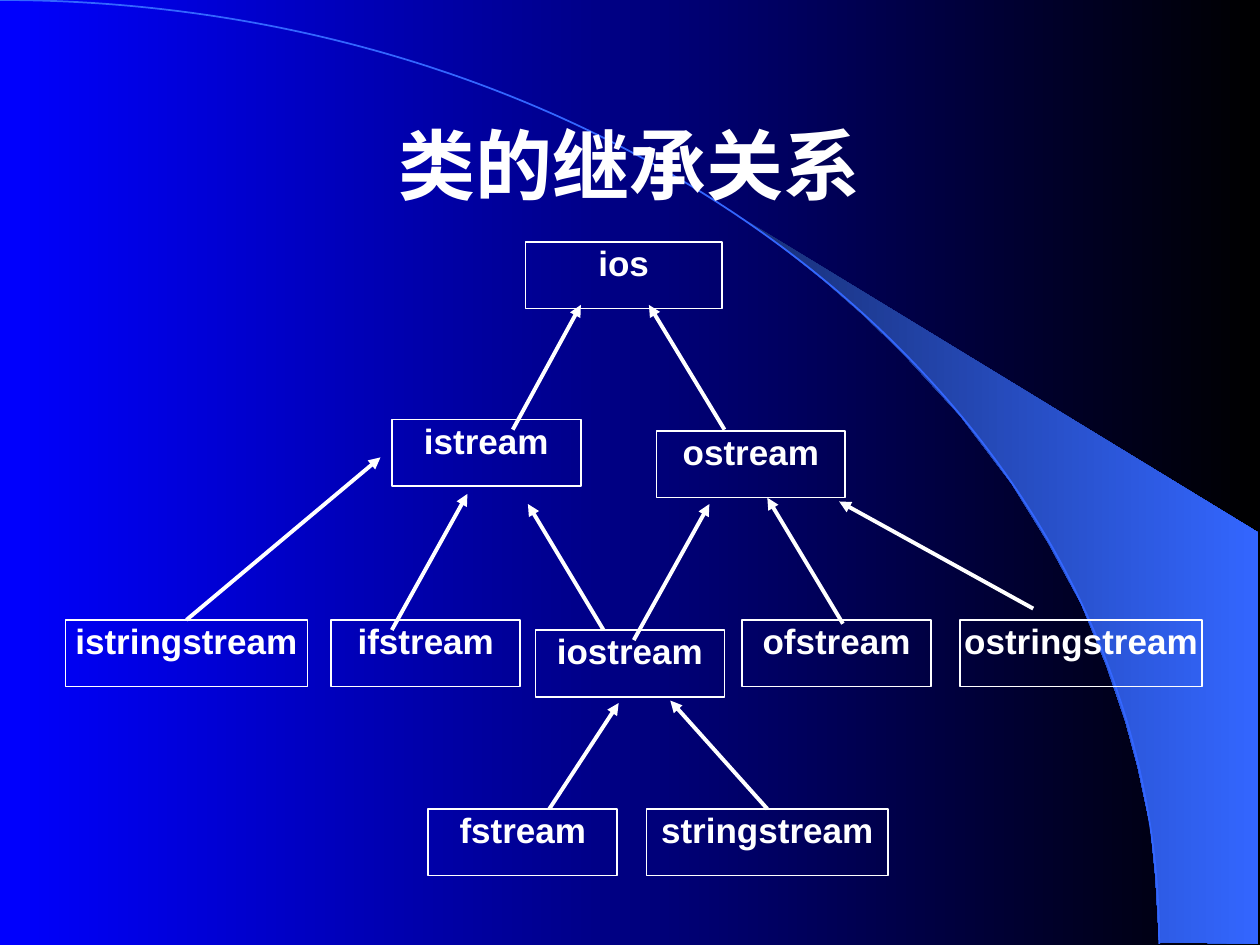
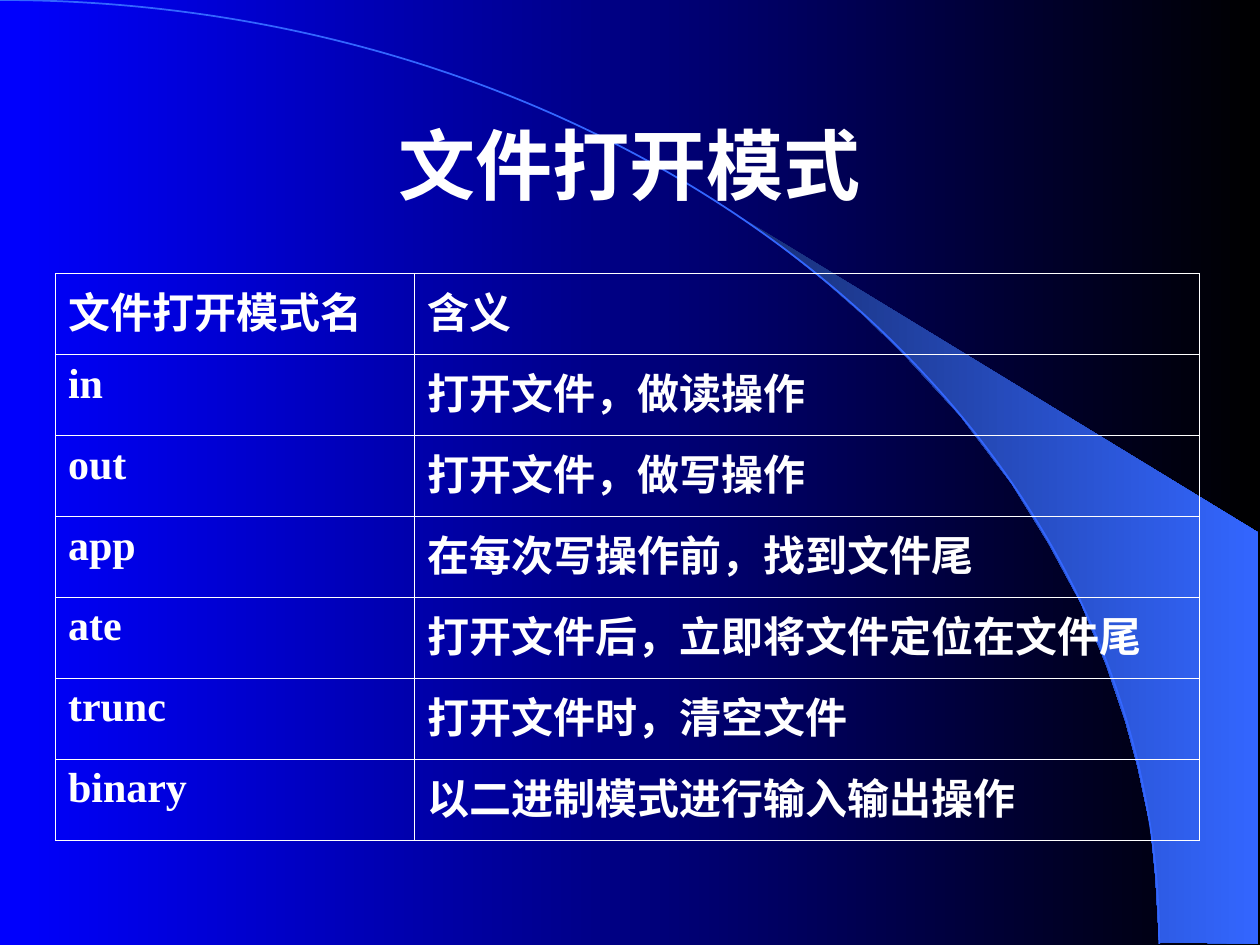
from dataclasses import dataclass
from typing import NamedTuple

from lxml.etree import SubElement
from pptx import Presentation
from pptx.dml.color import RGBColor as Color
from pptx.enum.shapes import MSO_CONNECTOR as Connector, MSO_SHAPE as Preset
from pptx.enum.text import MSO_ANCHOR as Anchor, PP_ALIGN as Align
from pptx.oxml import parse_xml
from pptx.oxml.ns import nsdecls, qn
from pptx.util import Emu, Pt

EMU_PER_PX = 9144
SLIDE_WIDTH, SLIDE_HEIGHT = 1000, 750
ARC_POINTS = [(0, 0), (920, 749)]
ARC_CONTROLS = [(508, 0), (920, 335)]
GLOW_POINTS = [
    (920, 748), (999, 749), (999, 423), (589, 173), (624, 199), (653, 222),
    (685, 250), (716, 280), (762, 330), (803, 384), (832, 431), (858, 479),
    (878, 528), (893, 572), (903, 609), (913, 656), (917, 696),
]
BOX_HEIGHT = 53
NARROW, MEDIUM, WIDE = 150, 156, 192
TOP = 0


@dataclass(frozen=True)
class Theme:
    """Colours, fonts and type sizes shared by the slides."""

    text: Color = Color(0xFF, 0xFF, 0xFF)
    background_start: Color = Color(0x00, 0x00, 0xFF)
    background_end: Color = Color(0x00, 0x00, 0x00)
    glow_start: Color = Color(0x18, 0x2F, 0x76)
    accent: Color = Color(0x33, 0x66, 0xFF)
    heading_font: str = "Arial"
    table_font: str = "Times New Roman"
    title_size: int = 44
    table_size: int = 24
    box_size: int = 20
    thin_line: float = 1
    arrow_line: float = 2.25
    table_line: float = 0.45


class ClassBox(NamedTuple):
    """A class in the inheritance diagram."""

    name: str
    left: int
    top: int
    width: int = NARROW


class Inheritance(NamedTuple):
    """An arrow from a derived class to its base class."""

    derived: str
    start: tuple[int, int]
    tip: tuple[int, int]
    joined: bool = False


class OpenMode(NamedTuple):
    """A row of the file mode table."""

    name: str
    meaning: str


THEME = Theme()

CLASS_BOXES = [
    ClassBox("ios", 417, 192, MEDIUM),
    ClassBox("istream", 311, 333),
    ClassBox("ostream", 521, 342),
    ClassBox("ifstream", 263, 492),
    ClassBox("ofstream", 589, 492),
    ClassBox("iostream", 425, 500),
    ClassBox("fstream", 340, 642),
    ClassBox("istringstream", 52, 492, WIDE),
    ClassBox("ostringstream", 762, 492, WIDE),
    ClassBox("stringstream", 513, 642, WIDE),
]

INHERITANCES = [
    Inheritance("istream", (407, 341), (461, 242)),
    Inheritance("ostream", (575, 341), (515, 242)),
    Inheritance("ifstream", (311, 500), (371, 392)),
    Inheritance("iostream", (503, 508), (563, 400)),
    Inheritance("ofstream", (669, 495), (609, 395)),
    Inheritance("iostream", (479, 500), (419, 400)),
    Inheritance("fstream", (436, 642), (491, 558)),
    Inheritance("istringstream", (148, 492), (302, 363), True),
    Inheritance("ostringstream", (820, 483), (666, 398)),
    Inheritance("stringstream", (609, 642), (532, 556), True),
]

OPEN_MODES = [
    OpenMode("文件打开模式名", "含义"),
    OpenMode("in", "打开文件，做读操作"),
    OpenMode("out", "打开文件，做写操作"),
    OpenMode("app", "在每次写操作前，找到文件尾"),
    OpenMode("ate", "打开文件后，立即将文件定位在文件尾"),
    OpenMode("trunc", "打开文件时，清空文件"),
    OpenMode("binary", "以二进制模式进行输入输出操作"),
]
TABLE_LEFT, TABLE_TOP, TABLE_HEIGHT = 44, 217, 450
COLUMN_WIDTHS = (285, 623)
HANGING_INDENT = 52


def px(length: float) -> Emu:
    """Turn px into EMU."""
    return Emu(round(length * EMU_PER_PX))


def set_text(text_frame, text: str, font_name: str, size: int, align=None) -> None:
    """Write one bold paragraph in the text colour."""
    text_frame.text = text
    text_frame.word_wrap = True
    paragraph = text_frame.paragraphs[0]
    paragraph.alignment = align
    font = paragraph.runs[0].font
    font.name, font.size, font.bold = font_name, Pt(size), True
    font.color.rgb = THEME.text


def set_line(line, color: Color, width: float) -> None:
    """Give a line its colour and width."""
    line.color.rgb = color
    line.width = Pt(width)


def set_gradient(fill, start: Color, end: Color) -> None:
    """Fill from left to right with two colours."""
    fill.gradient()
    fill.gradient_angle = 0
    for stop, color, position in zip(fill.gradient_stops, (start, end), (0, 1)):
        stop.color.rgb = color
        stop.position = position


def add_outline(slide, points: list[tuple[int, int]], close: bool):
    """Draw a freeform through the points."""
    builder = slide.shapes.build_freeform(*points[0], scale=EMU_PER_PX)
    builder.add_line_segments(points[1:], close=close)
    shape = builder.convert_to_shape()
    shape.shadow.inherit = False
    return shape


def bend_line(shape, controls: list[tuple[int, int]]) -> None:
    """Turn the single segment of a freeform into a Bézier curve."""
    segment = next(shape._element.iter(qn("a:lnTo")))
    segment.tag = qn("a:cubicBezTo")
    for position, (x, y) in enumerate(controls):
        point = parse_xml(f'<a:pt {nsdecls("a")} x="{x}" y="{y}"/>')
        segment.insert(position, point)


def add_base_slide(presentation, title: str):
    """Add a slide with the shared background and title."""
    slide = presentation.slides.add_slide(presentation.slide_layouts[6])
    set_gradient(slide.background.fill, THEME.background_start, THEME.background_end)
    glow = add_outline(slide, GLOW_POINTS, True)
    set_gradient(glow.fill, THEME.glow_start, THEME.accent)
    glow.line.fill.background()
    arc = add_outline(slide, ARC_POINTS, False)
    bend_line(arc, ARC_CONTROLS)
    arc.fill.background()
    set_line(arc.line, THEME.accent, THEME.thin_line)
    title_box = slide.shapes.add_textbox(px(75), px(67), px(850), px(125))
    title_box.text_frame.vertical_anchor = Anchor.MIDDLE
    set_text(title_box.text_frame, title, THEME.heading_font, THEME.title_size, Align.CENTER)
    return slide


def add_class_box(slide, box: ClassBox):
    """Draw the outlined box of a class."""
    shape = slide.shapes.add_shape(
        Preset.RECTANGLE, px(box.left), px(box.top), px(box.width), px(BOX_HEIGHT)
    )
    shape.shadow.inherit = False
    shape.fill.background()
    set_line(shape.line, THEME.text, THEME.thin_line)
    frame = shape.text_frame
    frame.margin_left = frame.margin_right = frame.margin_top = frame.margin_bottom = 0
    frame.vertical_anchor = Anchor.TOP
    set_text(frame, box.name, THEME.heading_font, THEME.box_size, Align.CENTER)
    return shape


def add_inheritance(slide, inheritance: Inheritance, boxes: dict) -> None:
    """Draw an arrow that points at the base class."""
    ends = [px(value) for value in (*inheritance.start, *inheritance.tip)]
    arrow = slide.shapes.add_connector(Connector.STRAIGHT, *ends)
    if inheritance.joined:
        arrow.begin_connect(boxes[inheritance.derived], TOP)
    set_line(arrow.line, THEME.text, THEME.arrow_line)
    properties = arrow._element.spPr
    SubElement(properties.find(qn("a:ln")), qn("a:tailEnd"), type="triangle")
    SubElement(properties, qn("a:effectLst"))


def set_cell(cell, text: str) -> None:
    """Write a table cell with a thin border and no fill."""
    set_text(cell.text_frame, text, THEME.table_font, THEME.table_size)
    indent = px(HANGING_INDENT)
    paragraph_properties = cell.text_frame.paragraphs[0]._p.get_or_add_pPr()
    paragraph_properties.set("marL", str(indent))
    paragraph_properties.set("indent", str(-indent))
    cell.fill.background()
    cell_properties = cell._tc.get_or_add_tcPr()
    for position, side in enumerate("LRTB"):
        border = parse_xml(
            f'<a:ln{side} {nsdecls("a")} w="{Pt(THEME.table_line)}"><a:solidFill>'
            f'<a:srgbClr val="{THEME.text}"/></a:solidFill></a:ln{side}>'
        )
        cell_properties.insert(position, border)


def add_mode_table(slide) -> None:
    """Draw the table of file modes."""
    row_count = len(OPEN_MODES)
    table = slide.shapes.add_table(
        row_count, len(COLUMN_WIDTHS), px(TABLE_LEFT), px(TABLE_TOP),
        px(sum(COLUMN_WIDTHS)), px(TABLE_HEIGHT),
    ).table
    table.first_row = table.horz_banding = False
    for column, width in zip(table.columns, COLUMN_WIDTHS):
        column.width = px(width)
    for row, mode in zip(table.rows, OPEN_MODES):
        row.height = px(TABLE_HEIGHT / row_count)
        for cell, text in zip(row.cells, mode):
            set_cell(cell, text)


def main() -> None:
    """Build and save the presentation."""
    presentation = Presentation()
    presentation.slide_width, presentation.slide_height = px(SLIDE_WIDTH), px(SLIDE_HEIGHT)
    class_slide = add_base_slide(presentation, "类的继承关系")
    boxes = {box.name: add_class_box(class_slide, box) for box in CLASS_BOXES}
    for inheritance in INHERITANCES:
        add_inheritance(class_slide, inheritance, boxes)
    add_mode_table(add_base_slide(presentation, "文件打开模式"))
    presentation.save("out.pptx")


if __name__ == "__main__":
    main()
